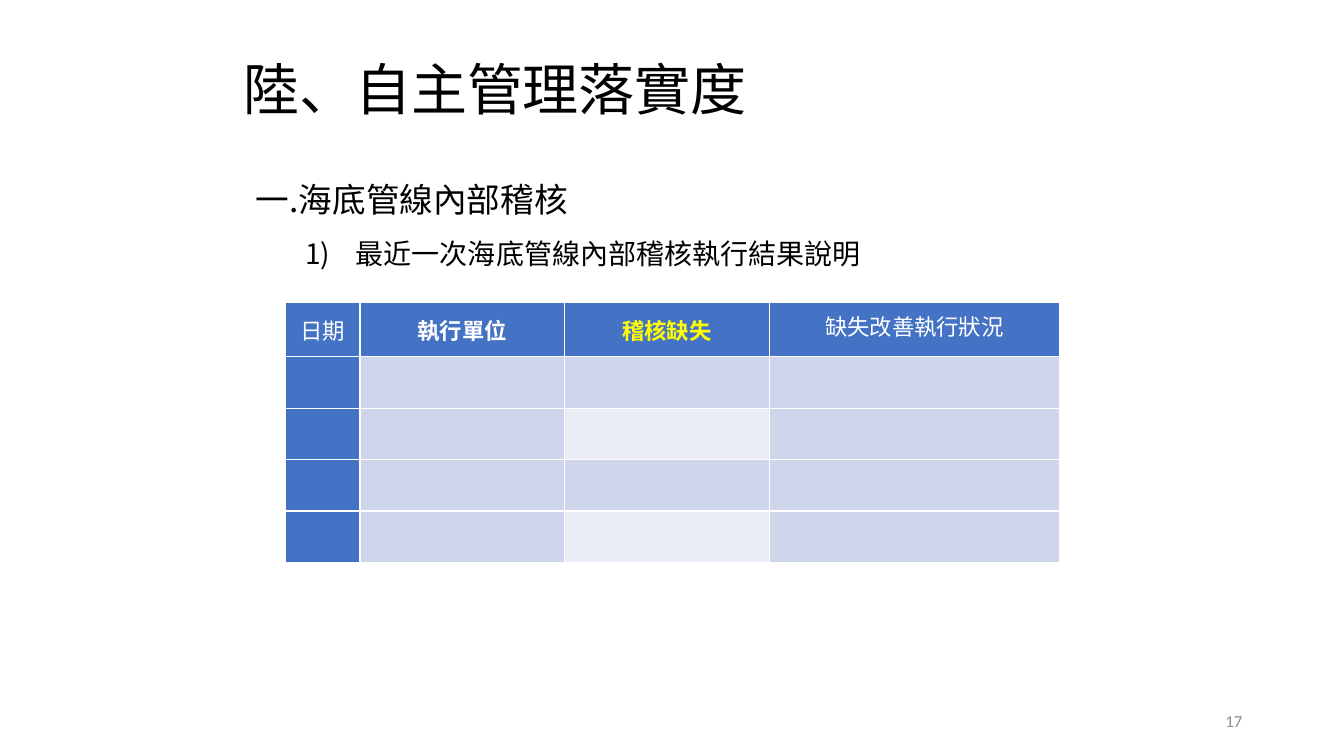
import pptx
import pptx.util
import pptx.dml.color
import pptx.enum.text
import pptx.oxml.ns
from lxml import etree
from dataclasses import dataclass

Inches, Pt = pptx.util.Inches, pptx.util.Pt
ALIGN, ANCHOR = pptx.enum.text.PP_ALIGN, pptx.enum.text.MSO_ANCHOR


@dataclass(frozen=True)
class Theme:
    cjk: str = "Noto Sans CJK SC"
    latin: str = "Calibri"
    black: str = "000000"
    white: str = "FFFFFF"
    gray: str = "8C8C8C"
    blue: str = "4472C4"
    yellow: str = "FFFF00"
    dark: str = "CFD5EA"
    light: str = "E9EBF5"
    title: float = 40
    head: float = 24
    item: float = 20
    cell: float = 16
    page: float = 12


T = Theme()

TITLE = "陸、自主管理落實度"
HEAD = "一.海底管線內部稽核"
ITEM = "最近一次海底管線內部稽核執行結果說明"
PAGE = "17"
LABELS = [
    ("日期", {}),
    ("執行單位", {"bold": True}),
    ("稽核缺失", {"bold": True, "color": T.yellow}),
    ("缺失改善執行狀況", {"space": Pt(18)}),
]
COLS = [0.74, 2.03, 2.03, 2.88]
ROWS = [0.54] + [0.51] * 4


def rgb(code):
    return pptx.dml.color.RGBColor.from_string(code)


def add(parent, tag, **attrs):
    node = etree.SubElement(parent, pptx.oxml.ns.qn(tag))
    for key, value in attrs.items():
        node.set(key, str(value))
    return node


def write(para, text, size=T.cell, color=T.black, font=T.cjk, bold=False,
          align=ALIGN.LEFT, space=None, track=None):
    para.alignment = align
    if space:
        para.line_spacing = space
    run = para.add_run()
    run.text = text
    run.font.size, run.font.bold, run.font.name = Pt(size), bold, font
    run.font.color.rgb = rgb(color)
    props = run.font._element
    add(props, "a:ea", typeface=font)
    if track:
        props.set("spc", str(track))


def add_box(slide, left, top, width, height, anchor=ANCHOR.TOP, inset=None):
    box = slide.shapes.add_textbox(*map(Inches, (left, top, width, height)))
    frame = box.text_frame
    frame.word_wrap = True
    frame.vertical_anchor = anchor
    if inset is not None:
        frame.margin_left = frame.margin_right = Inches(inset)
        frame.margin_top = frame.margin_bottom = Inches(inset)
    return frame


def number(para, left, hang):
    """Turn a paragraph into a numbered item: 1), 2), ..."""
    props = para._p.get_or_add_pPr()
    props.set("marL", str(Inches(left)))
    props.set("indent", str(Inches(-hang)))
    add(props, "a:buFont", typeface=T.cjk)
    add(props, "a:buAutoNum", type="arabicParenR")


def paint(cell, color):
    """Give a cell white borders and a plain fill."""
    props = cell._tc.get_or_add_tcPr()
    for side in ("a:lnL", "a:lnR", "a:lnT", "a:lnB"):
        line = add(props, side, w=Pt(1))
        add(add(line, "a:solidFill"), "a:srgbClr", val=T.white)
    cell.fill.solid()
    cell.fill.fore_color.rgb = rgb(color)


def shade(row, col):
    if row == 0 or col == 0:
        return T.blue
    return T.light if col == 2 and row % 2 == 0 else T.dark


def add_grid(slide, left, top):
    size = (left, top, sum(COLS), sum(ROWS))
    table = slide.shapes.add_table(
        len(ROWS), len(COLS), *map(Inches, size)).table
    for col, width in zip(table.columns, COLS):
        col.width = Inches(width)
    for row, height in zip(table.rows, ROWS):
        row.height = Inches(height)
    for r in range(len(ROWS)):
        for c in range(len(COLS)):
            paint(table.cell(r, c), shade(r, c))
    for c, (text, style) in enumerate(LABELS):
        cell = table.cell(0, c)
        cell.vertical_anchor = ANCHOR.MIDDLE
        cell.margin_left = cell.margin_right = Inches(0.07)
        cell.margin_top = cell.margin_bottom = 0
        write(cell.text_frame.paragraphs[0], text,
              **{"color": T.white, "align": ALIGN.CENTER, **style})


def main():
    deck = pptx.Presentation()
    deck.slide_width, deck.slide_height = Inches(13.33), Inches(7.5)
    slide = deck.slides.add_slide(deck.slide_layouts[6])

    title = add_box(slide, 2.42, 0.61, 7.63, 0.61, ANCHOR.MIDDLE, inset=0)
    write(title.paragraphs[0], TITLE, size=T.title, space=0.9, track=-10)

    page = add_box(slide, 9.42, 6.95, 3, 0.4, ANCHOR.MIDDLE)
    write(page.paragraphs[0], PAGE, size=T.page, color=T.gray, font=T.latin,
          align=ALIGN.RIGHT)

    body = add_box(slide, 2.44, 1.53, 8.25, 1.15)
    write(body.paragraphs[0], HEAD, size=T.head, space=1.5)
    item = body.add_paragraph()
    write(item, ITEM, size=T.item, space=1.5)
    number(item, 0.99, 0.5)

    add_grid(slide, 2.83, 3)
    deck.save("out.pptx")


if __name__ == "__main__":
    main()
